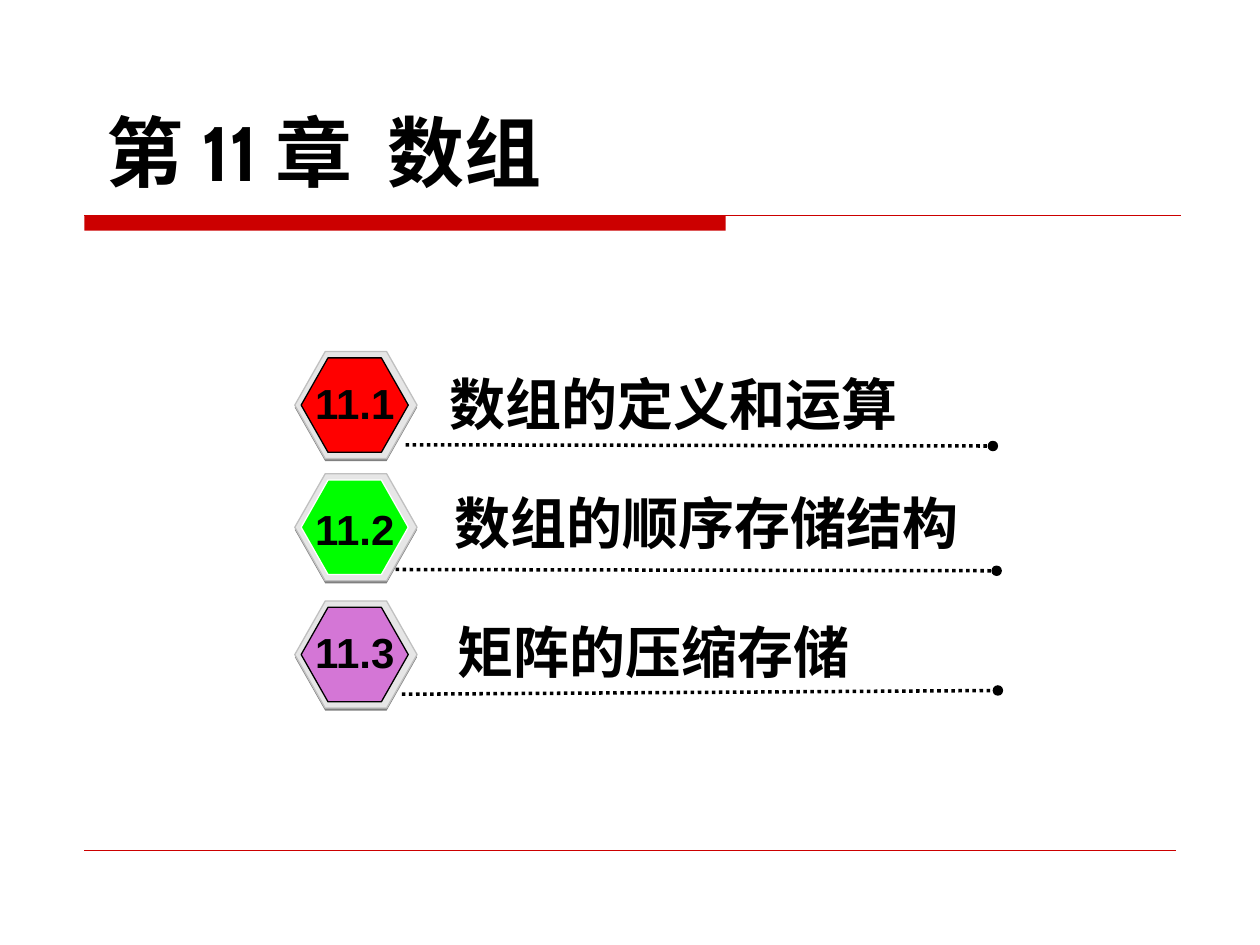
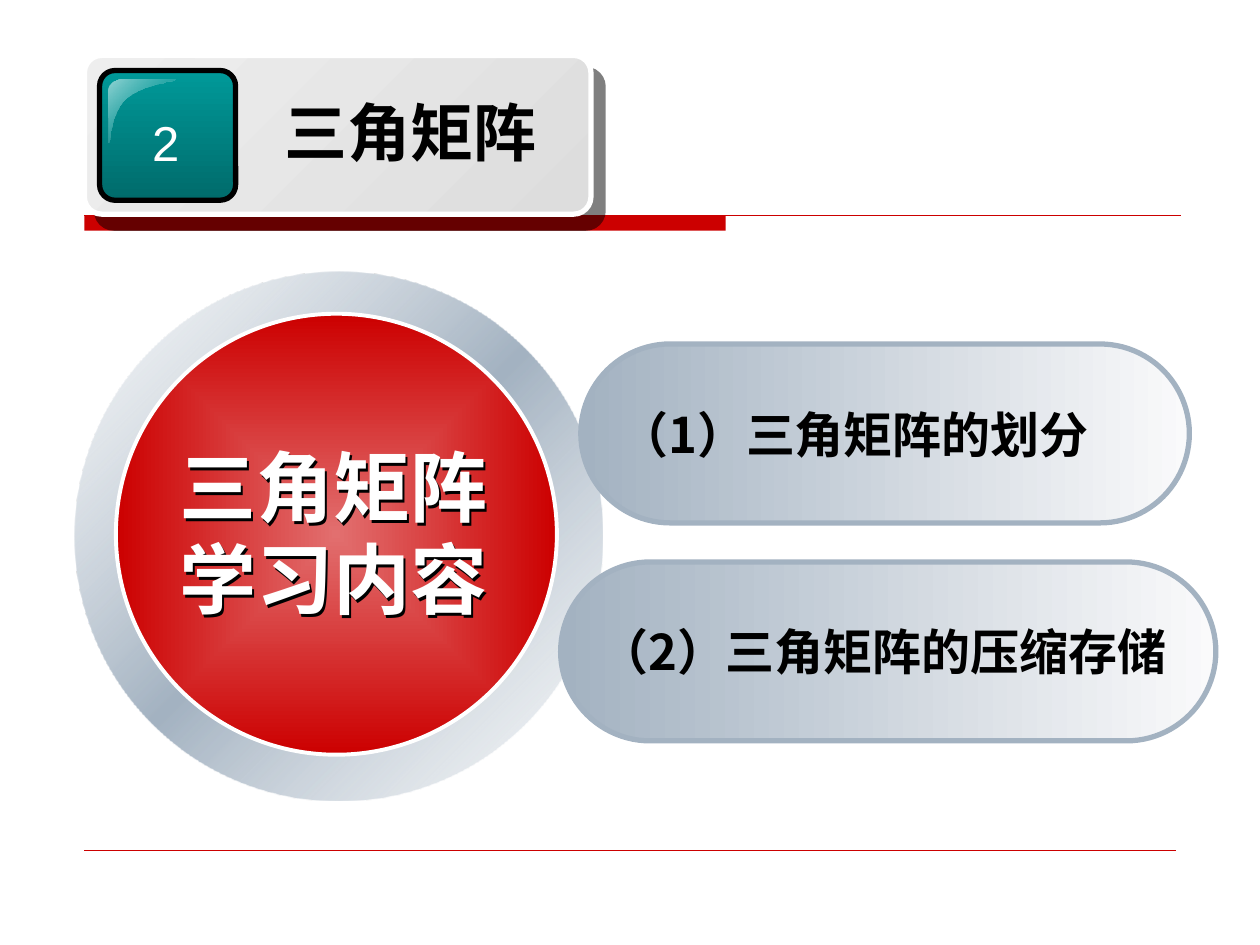
"""Build the array chapter opener and the triangular matrix overview slide."""
from lxml import etree
from pptx import Presentation
from pptx.dml.color import RGBColor
from pptx.enum.dml import MSO_LINE
from pptx.enum.shapes import MSO_CONNECTOR, MSO_SHAPE
from pptx.enum.text import MSO_ANCHOR, PP_ALIGN
from pptx.oxml import parse_xml
from pptx.oxml.ns import nsdecls, qn
from pptx.util import Inches, Pt

RECTANGLE, ROUNDED = MSO_SHAPE.RECTANGLE, MSO_SHAPE.ROUNDED_RECTANGLE
HEXAGON, OVAL, DONUT = MSO_SHAPE.HEXAGON, MSO_SHAPE.OVAL, MSO_SHAPE.DONUT
STRAIGHT, DOTTED = MSO_CONNECTOR.STRAIGHT, MSO_LINE.ROUND_DOT
LEFT, CENTER = PP_ALIGN.LEFT, PP_ALIGN.CENTER
TOP, MIDDLE = MSO_ANCHOR.TOP, MSO_ANCHOR.MIDDLE

LATIN, DIGITS, CHINESE = "Arial", "Cabin", "Noto Sans CJK SC"
COLORS = {
    "black": "000000", "white": "FFFFFF", "accent": "CC0000", "accent_light": "E26F6F",
    "hexagon_shade": "808080", "hexagon_rim": "E6E6E6", "hexagon_edge": "C0C0C0",
    "red": "FF0000", "green": "00FF00", "violet": "D476D6",
    "panel_light": "EEEEEE", "panel_dark": "DDDDDD",
    "teal": "009999", "teal_dark": "006B6B", "gloss": "93D4D4",
    "steel": "A3B2C1", "steel_light": "C7D0D9", "steel_pale": "FAFAFB",
}


def color(name):
    return RGBColor.from_string(COLORS[name])


def bezier(start, control_1, control_2, end, steps=12):
    """Return points on a cubic curve, without its start."""
    points = []
    for step in range(1, steps + 1):
        t = step / steps
        weights = ((1 - t) ** 3, 3 * t * (1 - t) ** 2, 3 * t * t * (1 - t), t ** 3)
        points.append(tuple(
            sum(weight * value for weight, value in zip(weights, axis))
            for axis in zip(start, control_1, control_2, end)))
    return points


class Deck:
    """Hold the shared style and the current slide."""

    def __init__(self):
        self.presentation = Presentation()
        self.presentation.slide_width = Inches(10)
        self.presentation.slide_height = Inches(7.5)
        self.slide = None

    def new_slide(self):
        self.slide = self.presentation.slides.add_slide(self.presentation.slide_layouts[6])
        self.shape(RECTANGLE, (0.67, 1.71, 5.09, 0.12), "accent")
        self.line((0.67, 1.71), (9.37, 1.71), "accent", 0.75)
        self.line((0.67, 6.75), (9.33, 6.75), "accent", 0.25)

    def shape(self, kind, box, fill=None, line=None, width=0.75, adjustment=None):
        shape = self.slide.shapes.add_shape(kind, *map(Inches, box))
        if adjustment is not None:
            shape.adjustments[0] = adjustment
        self.paint(shape, fill, line, width)
        return shape

    def paint(self, shape, fill=None, line=None, width=0.75):
        shape.shadow.inherit = False
        if fill:
            shape.fill.solid()
            shape.fill.fore_color.rgb = color(fill)
        else:
            shape.fill.background()
        if line:
            shape.line.color.rgb = color(line)
            shape.line.width = Pt(width)
        else:
            shape.line.fill.background()

    def gradient(self, shape, stops, angle=None):
        """Fill with (position, color, opacity) stops, from the centre if no angle is given."""
        stop_xml = "".join(
            f'<a:gs pos="{position * 1000}"><a:srgbClr val="{COLORS[name]}">'
            f'<a:alpha val="{opacity * 1000}"/></a:srgbClr></a:gs>'
            for position, name, opacity in stops)
        if angle is None:
            direction = ('<a:path path="rect"><a:fillToRect l="50000" t="50000" '
                         'r="50000" b="50000"/></a:path>')
        else:
            direction = f'<a:lin ang="{angle * 60000}" scaled="0"/>'
        fill = parse_xml(f'<a:gradFill {nsdecls("a")} rotWithShape="1">'
                         f'<a:gsLst>{stop_xml}</a:gsLst>{direction}</a:gradFill>')
        properties = shape._element.spPr
        properties.replace(properties.find(qn("a:noFill")), fill)

    def shadow(self, shape, distance, angle, opacity):
        shape.shadow.inherit = False
        effects = shape._element.spPr.find(qn("a:effectLst"))
        effects.append(parse_xml(
            f'<a:outerShdw {nsdecls("a")} dist="{Pt(distance)}" dir="{angle * 60000}" '
            f'algn="ctr" rotWithShape="0"><a:srgbClr val="{COLORS["black"]}">'
            f'<a:alpha val="{opacity * 1000}"/></a:srgbClr></a:outerShdw>'))

    def line(self, start, end, line, width, dotted=False):
        connector = self.slide.shapes.add_connector(STRAIGHT, *map(Inches, start + end))
        connector.line.color.rgb = color(line)
        connector.line.width = Pt(width)
        properties = connector._element.spPr
        if dotted:
            connector.line.dash_style = DOTTED
            etree.SubElement(properties.find(qn("a:ln")), qn("a:tailEnd"), type="oval")
        etree.SubElement(properties, qn("a:effectLst"))

    def outline(self, points):
        builder = self.slide.shapes.build_freeform(
            Inches(points[0][0]), Inches(points[0][1]))
        builder.add_line_segments([(Inches(x), Inches(y)) for x, y in points[1:]])
        shape = builder.convert_to_shape()
        self.paint(shape)
        return shape

    def text(self, box, text, size, **style):
        shape = self.slide.shapes.add_textbox(*map(Inches, box))
        self.set_text(shape, text, size, **style)
        return shape

    def set_text(self, shape, text, size, fill="black", bold=True, align=LEFT,
                 anchor=TOP, wrap=True, font=LATIN):
        frame = shape.text_frame
        frame.word_wrap = wrap
        frame.vertical_anchor = anchor
        frame.text = text
        paragraph = frame.paragraphs[0]
        paragraph.alignment = align
        self.style_run(paragraph.runs[0], size, fill, bold, font)

    def style_run(self, run, size, fill, bold, font):
        run.font.size = Pt(size)
        run.font.bold = bold
        run.font.name = font
        run.font.color.rgb = color(fill)
        etree.SubElement(run._r.get_or_add_rPr(), qn("a:ea"), typeface=CHINESE)

    def chapter_title(self, pieces):
        """Set a title from (text, font, letter spacing in points) pieces."""
        shape = self.slide.shapes.add_textbox(*map(Inches, (0.75, 0.61, 8.36, 1.17)))
        shape.text_frame.word_wrap = True
        shape.text_frame.vertical_anchor = MIDDLE
        paragraph = shape.text_frame.paragraphs[0]
        for text, font, spacing in pieces:
            run = paragraph.add_run()
            run.text = text
            self.style_run(run, 44, "black", True, font)
            if spacing:
                run._r.get_or_add_rPr().set("spc", str(spacing * 100))

    def section_badge(self, top, number, number_top, fill, edge):
        self.shape(HEXAGON, (2.34, top + 0.02, 0.97, 0.85), "hexagon_shade", adjustment=0.284)
        self.shape(HEXAGON, (2.34, top, 0.97, 0.85), "hexagon_rim", "hexagon_edge",
                   adjustment=0.284)
        self.shape(HEXAGON, (2.39, top + 0.05, 0.85, 0.75), fill, edge, adjustment=0.284)
        self.text((2.39, number_top, 0.85, 0.5), number, 24, align=CENTER, wrap=False)

    def heading_panel(self, number, title):
        panel = self.shape(ROUNDED, (0.67, 0.44, 4.02, 1.26), None, "white", 3, 0.109)
        self.gradient(panel, [(0, "panel_light", 100), (100, "panel_dark", 100)], 45)
        self.shadow(panel, 10.6, 49, 50)
        tile = self.shape(ROUNDED, (0.79, 0.56, 1.08, 1.03), None, "black", 3, 0.119)
        self.gradient(tile, [(0, "teal", 100), (100, "teal_dark", 100)], 90)
        gloss = self.outline(
            [(0.96, 0.63)]
            + bezier((0.96, 0.63), (0.91, 0.63), (0.86, 0.67), (0.86, 0.73))
            + bezier((0.86, 1.13), (0.88, 1.14), (0.87, 0.89), (1, 0.78))
            + bezier((1, 0.78), (1.14, 0.66), (1.4, 0.65), (1.39, 0.63))
            + [(0.96, 0.63)])
        self.gradient(gloss, [(0, "gloss", 100), (100, "teal", 0)], 45)
        self.text((1.11, 0.84, 0.41, 0.57), number, 28, fill="white", bold=False,
                  align=CENTER, wrap=False)
        self.text((2.16, 0.69, 2.59, 0.7), title, 36)

    def topic_circle(self):
        ring = self.shape(DONUT, (0.59, 2.16, 4.19, 4.19), adjustment=0.088)
        self.gradient(ring, [(0, "steel_light", 12), (50, "steel", 100),
                             (100, "steel_light", 12)], 45)
        disc = self.shape(OVAL, (0.92, 2.49, 3.5, 3.5), None, "white", 2.25)
        self.gradient(disc, [(0, "accent_light", 100), (100, "accent", 100)])

    def topic_pill(self, box, text):
        pill = self.shape(ROUNDED, box, None, "steel", 3, 0.5)
        self.gradient(pill, [(0, "steel", 100), (100, "steel_pale", 100)], 0)
        self.set_text(pill, text, 28, anchor=MIDDLE, wrap=False, font=CHINESE)

    def topic_label(self, text):
        label = self.text((1.14, 3.44, 3.01, 1.57), text, 44, fill="white", align=CENTER)
        self.shadow(label, 2, 45, 100)


def build_chapter_slide(deck):
    deck.new_slide()
    deck.chapter_title([("第 ", LATIN, 0), ("11 ", DIGITS, 0), ("章", LATIN, 0),
                        (" ", LATIN, 10), ("数组", LATIN, 0)])
    sections = [
        ("11.1", "数组的定义和运算", 2.79, 2.95, "red", "black",
         (3.47, 2.88), (3.22, 3.53), (7.88, 3.54)),
        ("11.2", "数组的顺序存储结构", 3.76, 3.95, "green", "white",
         (3.51, 3.83), (3.14, 4.52), (7.91, 4.53)),
        ("11.3", "矩阵的压缩存储", 4.77, 4.92, "violet", "black",
         (3.53, 4.85), (3.19, 5.51), (7.92, 5.48)),
    ]
    for number, name, top, number_top, fill, edge, name_at, start, end in sections:
        deck.line(start, end, "black", 2, dotted=True)
        deck.section_badge(top, number, number_top, fill, edge)
        deck.text(name_at + (4.6, 0.64), name, 32)


def build_triangular_slide(deck):
    deck.new_slide()
    deck.heading_panel("2", "三角矩阵")
    deck.topic_circle()
    deck.topic_pill((4.61, 2.73, 4.83, 1.42), "（1）三角矩阵的划分")
    deck.topic_pill((4.45, 4.46, 5.2, 1.42), "（2）三角矩阵的压缩存储")
    deck.topic_label("三角矩阵学习内容")


def main():
    deck = Deck()
    build_chapter_slide(deck)
    build_triangular_slide(deck)
    deck.presentation.save("out.pptx")


if __name__ == "__main__":
    main()
